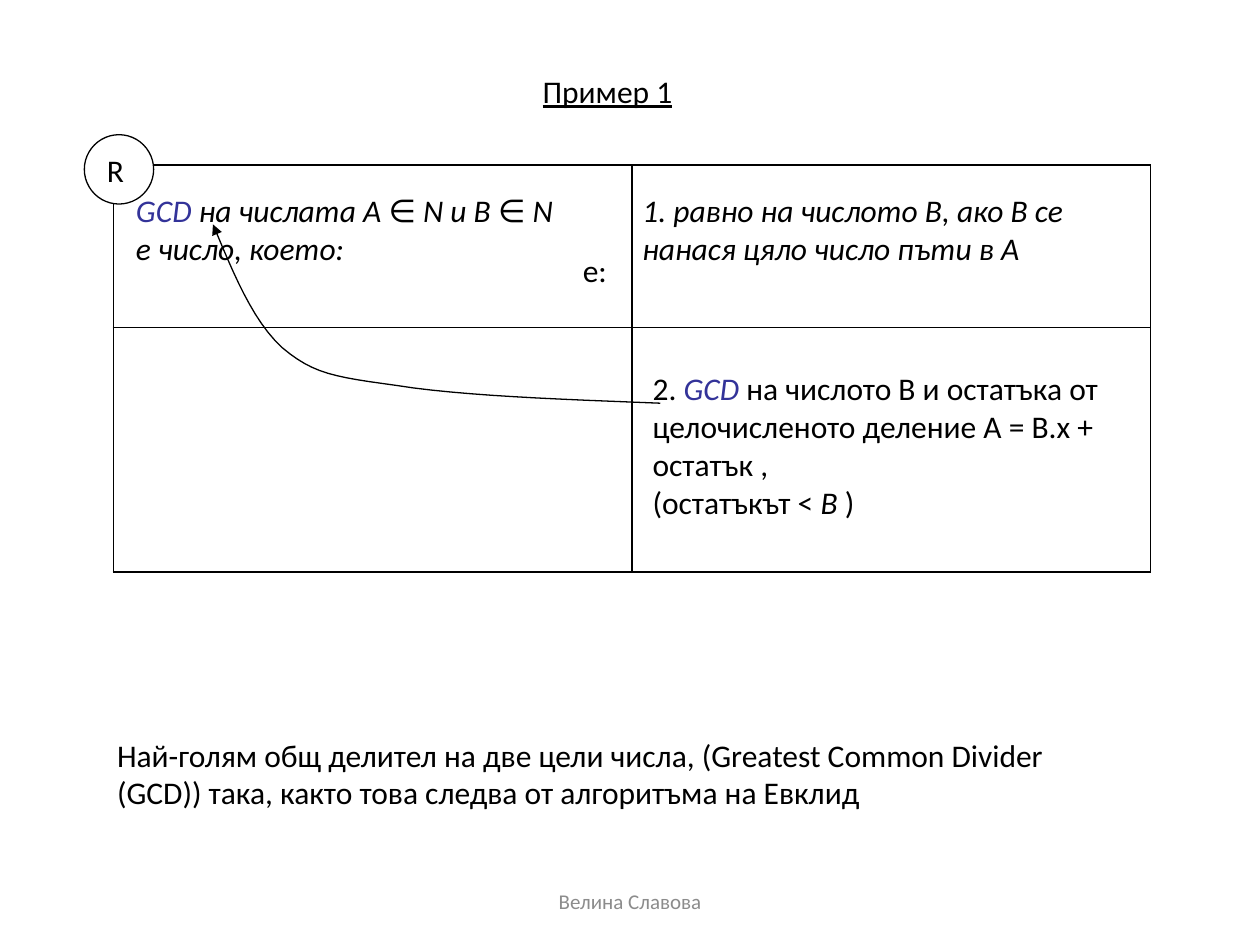
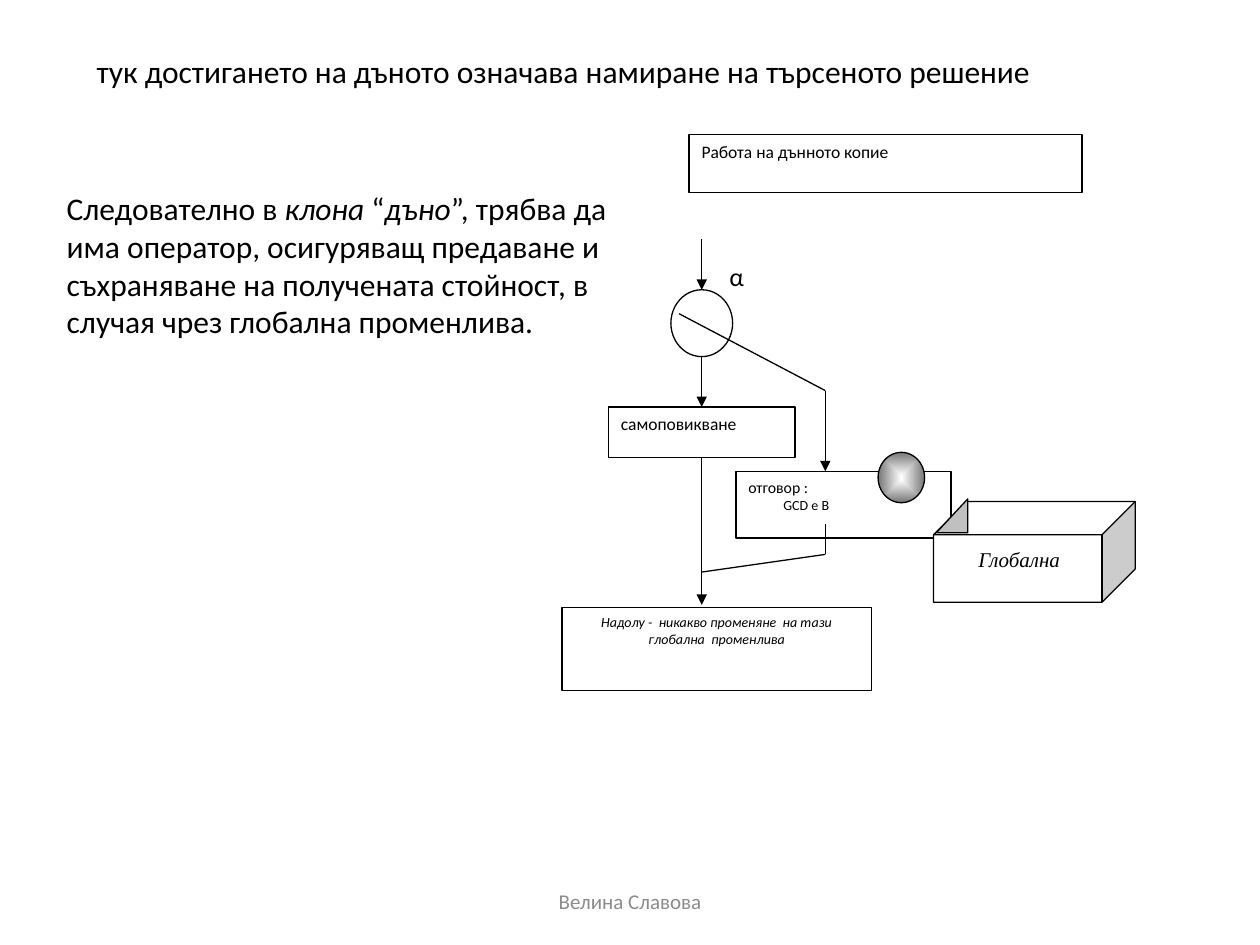
from lxml import etree
from pptx import Presentation
from pptx.dml.color import RGBColor
from pptx.enum import shapes, text
from pptx.oxml import ns
from pptx.util import Pt

BLACK, WHITE, BLUE, GREY, SILVER, STEEL = "000000", "FFFFFF", "333399", "8C8C8C", "C0C0C0", "767676"
SHAPE = shapes.MSO_SHAPE
CENTER, MIDDLE = text.PP_ALIGN.CENTER, text.MSO_ANCHOR.MIDDLE
THIN = 0.75

BASE = {"name": "Calibri", "size": 18, "color": BLACK}
ITALIC = {"italic": True}
TERM = {"italic": True, "color": BLUE}

FOOTER = ("Велина Славова", (246, 500.4, 228.2, 28.8), {"size": 12, "color": GREY})

EXAMPLE_TITLE = ("Пример 1", (303, 37.4, 131, 28.8), {"underline": True})
TABLE_AT, COLUMNS, ROWS = (64.8, 94.3), (296.3, 296.3), (92.9, 139.7)
EXAMPLE_TEXTS = [
    ([[("GCD", TERM), (" на числата А ∈ N и В ∈ N", ITALIC)],
      [("е число, което:", ITALIC)]], (70.6, 105.8, 295, 69.8)),
    ("e:", (326, 139.7, 30.5, 28.8)),
    ([[("1. равно на числото В, ако В се нанася цяло число пъти в А", ITALIC)]], (360, 105.8, 306, 50.4)),
    ([[("2. ", {}), ("GCD", TERM),
       (" на числото В и остатъка от целочисленото деление А = В.х + остатък ,", {})],
      [("(остатъкът <", {}), (" В", ITALIC), (" )", {})]], (365.8, 207.4, 317.5, 93.6)),
]
EXAMPLE_NOTE = ("Най-голям общ делител на две цели числа, (Greatest Common Divider (GCD)) "
                "така, както това следва от алгоритъма на Евклид", (59.8 + 0, 406, 584, 72))
RECURSION_LABEL = ("R", (48.2, 77, 39.6, 39.6))
RECURSION_CURVE = [
    (377.3, 230.4), (319.7, 228.2), (262.8, 226.1), (226.8, 220.3),
    (190.8, 215.3), (179.3, 213.8), (161.3, 198.7),
    (144, 182.9), (133.2, 155.5), (121.7, 128.2),
]

BOTTOM_TITLE = ("тук достигането на дъното означава намиране на търсеното решение", (48.2, 25.9, 643.7, 28.8))
BOTTOM_TEXT = ([[("Следователно в ", {}), ("клона", ITALIC), (" “", {}), ("дъно", ITALIC),
                 ("”, трябва да има оператор, осигуряващ предаване и съхраняване на получената "
                  "стойност, в случая чрез глобална променлива.", {})]], (31, 82.8, 323.3, 136.8))
HEADING_BOX = ("Работа на дънното копие", (393.8, 77, 224.6, 33.1), {"size": 10})
ANSWER_BOX = ([[("отговор :", {"size": 9})], [("GCD е В", {"size": 8})]], (420.5, 269.3, 123, 38.2))
ANSWER_INDENT = 20
RESULT_BOX = ("Надолу -  никакво променяне  на тази глобална  променлива",
              (321.1, 347, 177.1, 47.5), {"size": 8, "italic": True})
ALPHA = ("α", (409.7, 146.2, 53.3, 38.2), {"size": 14, "name": "Lato"})
GLOBAL_LABEL = ("Глобална", (533.5, 308.9, 97.9, 28.8), {"size": 12, "name": "Times New Roman", "italic": True})
CUBE_AT = (533.5, 286.6, 115.2, 57.6)
CORNER_AT = (535, 285.1, 18, 19.4)
SPHERE_AT = (501.8, 258.5, 26.6, 28.8)

AXIS, BRANCH = 401, 471.6
FLOW_TOP, ARROW = 136.8, 28.8
CIRCLE, CALL = (35.3, 38.2), (106.6, 28.8)


def rgb(color):
    return RGBColor.from_string(color)


def points(values):
    return [Pt(value) for value in values]


def write(frame, content, style=None, align=None, anchor=text.MSO_ANCHOR.TOP):
    frame.word_wrap = True
    frame.vertical_anchor = anchor
    lines = [[(content, {})]] if isinstance(content, str) else content
    for index, runs in enumerate(lines):
        paragraph = frame.add_paragraph() if index else frame.paragraphs[0]
        paragraph.alignment = align or text.PP_ALIGN.LEFT
        for words, changes in runs:
            run = paragraph.add_run()
            run.text = words
            values = {**BASE, **(style or {}), **changes}
            run.font.color.rgb = rgb(values.pop("color"))
            values["size"] = Pt(values["size"])
            for name, value in values.items():
                setattr(run.font, name, value)


def add_text(slide, content, at, style=None, **layout):
    box = slide.shapes.add_textbox(*points(at))
    write(box.text_frame, content, style, **layout)


def outline(shape):
    shape.line.color.rgb = rgb(BLACK)
    shape.line.width = Pt(THIN)


def add_shape(slide, kind, at, content=None, style=None, fill=WHITE, align=None):
    shape = slide.shapes.add_shape(kind, *points(at))
    shape.shadow.inherit = False
    shape.fill.solid()
    shape.fill.fore_color.rgb = rgb(fill)
    outline(shape)
    if content:
        write(shape.text_frame, content, style, align)
    return shape


def add_arrowhead(shape):
    etree.SubElement(shape.line._get_or_add_ln(), ns.qn("a:tailEnd"), type="triangle")


def add_line(slide, start, end, arrow=False):
    line = slide.shapes.add_connector(shapes.MSO_CONNECTOR.STRAIGHT, *points(start + end))
    outline(line)
    if arrow:
        add_arrowhead(line)
    etree.SubElement(line._element.spPr, ns.qn("a:effectLst"))


def curve_points(controls, steps=12):
    for first in range(0, len(controls) - 1, 3):
        for step in range(1, steps + 1):
            t = step / steps
            weights = ((1 - t) ** 3, 3 * t * (1 - t) ** 2, 3 * t * t * (1 - t), t ** 3)
            segment = controls[first:first + 4]
            yield tuple(Pt(sum(w * p[axis] for w, p in zip(weights, segment))) for axis in (0, 1))


def add_curve(slide, controls):
    builder = slide.shapes.build_freeform(*points(controls[0]))
    builder.add_line_segments(list(curve_points(controls)), close=False)
    curve = builder.convert_to_shape()
    curve.shadow.inherit = False
    curve.fill.background()
    outline(curve)
    add_arrowhead(curve)


def add_grid(slide):
    size = (sum(COLUMNS), sum(ROWS))
    table = slide.shapes.add_table(len(ROWS), len(COLUMNS), *points(TABLE_AT + size)).table
    table.first_row = table.horz_banding = False
    for column, width in zip(table.columns, COLUMNS):
        column.width = Pt(width)
    for row, height in zip(table.rows, ROWS):
        row.height = Pt(height)
    for cell in table.iter_cells():
        properties = cell._tc.get_or_add_tcPr()
        for side in ("lnL", "lnR", "lnT", "lnB"):
            border = etree.SubElement(properties, ns.qn("a:" + side), w=str(Pt(1)))
            solid = etree.SubElement(border, ns.qn("a:solidFill"))
            etree.SubElement(solid, ns.qn("a:srgbClr"), val=BLACK)
        cell.fill.background()


def add_sphere(slide):
    sphere = add_shape(slide, SHAPE.OVAL, SPHERE_AT)
    sphere.fill.gradient()
    for stop, color, position in zip(sphere.fill.gradient_stops, (WHITE, STEEL), (0, 1)):
        stop.color.rgb = rgb(color)
        stop.position = position
    gradient = sphere._element.spPr.find(ns.qn("a:gradFill"))
    gradient.remove(gradient.find(ns.qn("a:lin")))
    center = etree.Element(ns.qn("a:path"), path="shape")
    etree.SubElement(center, ns.qn("a:fillToRect"), l="50000", t="50000", r="50000", b="50000")
    gradient.find(ns.qn("a:gsLst")).addnext(center)


def add_slide(presentation):
    slide = presentation.slides.add_slide(presentation.slide_layouts[6])
    add_text(slide, *FOOTER, align=CENTER, anchor=MIDDLE)
    return slide


def build_example(slide):
    add_text(slide, *EXAMPLE_TITLE, anchor=MIDDLE)
    add_grid(slide)
    add_curve(slide, RECURSION_CURVE)
    for content, at in EXAMPLE_TEXTS:
        add_text(slide, content, at)
    label, at = RECURSION_LABEL
    add_shape(slide, SHAPE.OVAL, at, label)
    add_text(slide, *EXAMPLE_NOTE, anchor=MIDDLE)


def build_flow(slide):
    content, at = ANSWER_BOX
    answer = add_shape(slide, SHAPE.RECTANGLE, at, content)
    answer.text_frame.paragraphs[1]._p.get_or_add_pPr().set("marL", str(Pt(ANSWER_INDENT)))

    y = FLOW_TOP
    steps = [(SHAPE.OVAL, CIRCLE, None), (SHAPE.RECTANGLE, CALL, "самоповикване")]
    for kind, (width, height), label in steps:
        add_line(slide, (AXIS, y), (AXIS, y + ARROW), arrow=True)
        y += ARROW
        add_shape(slide, kind, (AXIS - width / 2, y, width, height), label, {"size": 10})
        y += height

    add_text(slide, *ALPHA)
    add_line(slide, (388.1, 179.3), (BRANCH, 223.2))
    add_line(slide, (BRANCH, 223.2), (BRANCH, at[1]), arrow=True)
    add_line(slide, (AXIS, y), (AXIS, 345.6), arrow=True)
    add_line(slide, (AXIS, 326.9), (BRANCH, 316.8))
    add_line(slide, (BRANCH, 316.8), (BRANCH, 299.5))

    content, at, style = RESULT_BOX
    add_shape(slide, SHAPE.RECTANGLE, at, content, style, align=CENTER)


def build_global_variable(slide):
    cube = add_shape(slide, SHAPE.CUBE, CUBE_AT)
    cube.adjustments[0] = 0.33
    add_text(slide, *GLOBAL_LABEL, align=CENTER)
    corner = add_shape(slide, SHAPE.RIGHT_TRIANGLE, CORNER_AT, fill=SILVER)
    corner._element.spPr.find(ns.qn("a:xfrm")).set("flipH", "1")
    add_sphere(slide)


def build_bottom(slide):
    build_flow(slide)
    build_global_variable(slide)
    content, at, style = HEADING_BOX
    add_shape(slide, SHAPE.RECTANGLE, at, content, style)
    for content, at in (BOTTOM_TITLE, BOTTOM_TEXT):
        add_text(slide, content, at, anchor=MIDDLE)


def main():
    presentation = Presentation()
    presentation.slide_width, presentation.slide_height = Pt(720), Pt(540)
    for build in (build_example, build_bottom):
        build(add_slide(presentation))
    presentation.save("out.pptx")


if __name__ == "__main__":
    main()
